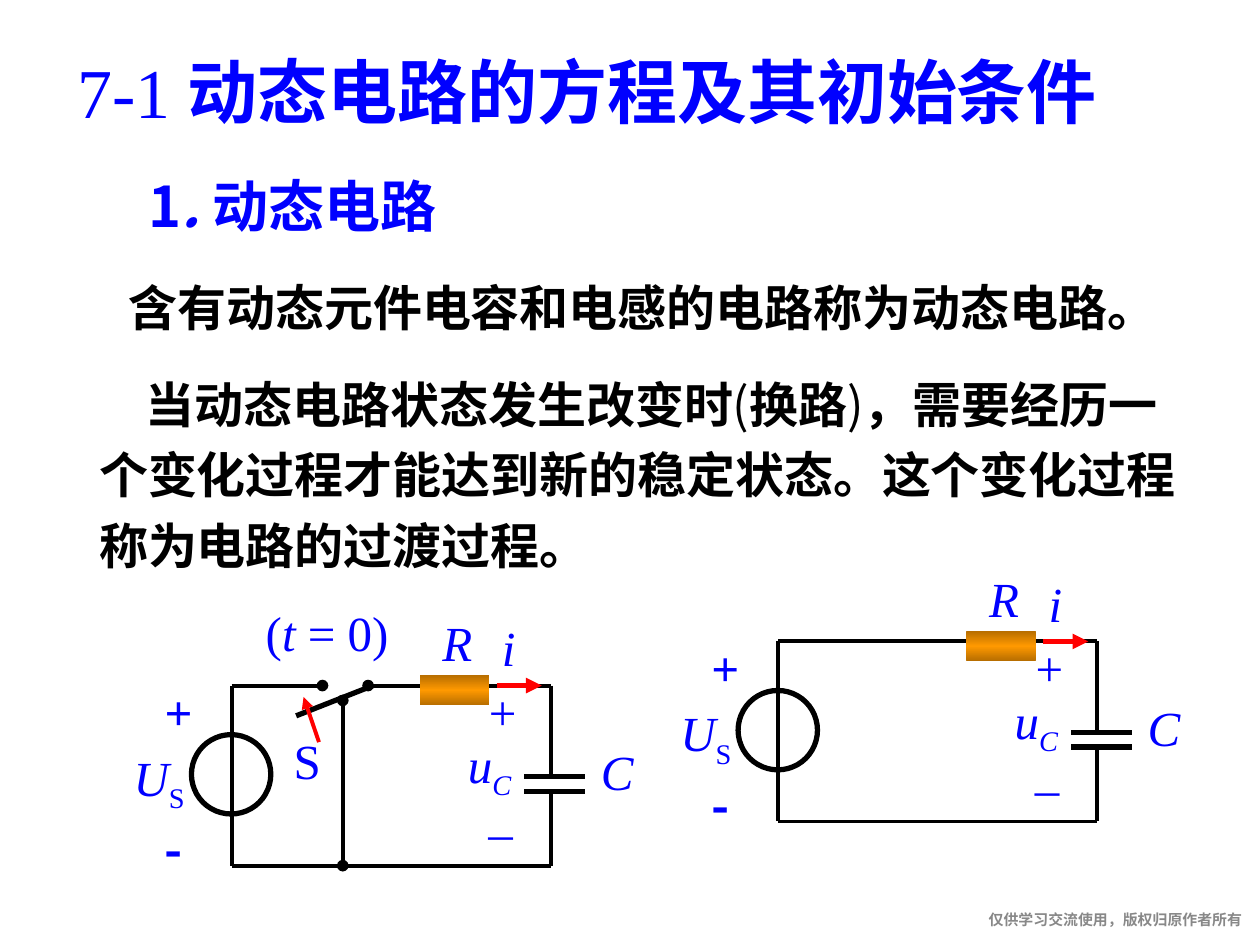
import copy
from dataclasses import dataclass

import pptx
import pptx.dml.color
import pptx.enum.shapes
import pptx.enum.text
import pptx.oxml
import pptx.oxml.ns
import pptx.util
from pptx.util import Cm

SERIF, SANS = "Times New Roman", "Noto Sans CJK SC"
BLUE, BLACK, RED, GREY = "0000FF", "000000", "FF0000", "888888"
ALIGN = pptx.enum.text.PP_ALIGN
ANCHOR = pptx.enum.text.MSO_ANCHOR
SHAPE = pptx.enum.shapes.MSO_SHAPE
qn = pptx.oxml.ns.qn


@dataclass
class Run:
    text: str
    size: float = 28
    font: str = SERIF
    color: str = BLUE
    bold: bool = False
    italic: bool = False
    sub: bool = False


@dataclass
class Label:
    x: float
    y: float
    w: float
    runs: list[Run]
    h: float = 1.45
    align: ALIGN = ALIGN.CENTER
    anchor: ANCHOR = ANCHOR.MIDDLE
    wrap: bool = False


@dataclass
class Wire:
    x1: float
    y1: float
    x2: float
    y2: float
    width: float = 2.25
    color: str = BLACK
    head: str = ""
    tail: str = ""


def rgb(value: str) -> pptx.dml.color.RGBColor:
    return pptx.dml.color.RGBColor.from_string(value)


def sub_element(parent, tag: str, **attrs: str):
    el = pptx.oxml.parse_xml(f"<{tag} {pptx.oxml.ns.nsdecls('a')}/>")
    for name, value in attrs.items():
        el.set(name, value)
    parent.append(el)


def add_runs(p, runs: list[Run]) -> None:
    for item in runs:
        r = p.add_run()
        r.text = item.text
        r.font.size = pptx.util.Pt(item.size)
        r.font.bold, r.font.italic = item.bold, item.italic
        r.font.color.rgb = rgb(item.color)
        r.font.name = item.font
        props = r._r.get_or_add_rPr()
        sub_element(props, "a:ea", typeface=SANS)
        if item.sub:
            props.set("baseline", "-25000")


def add_label(shapes, lb: Label, dx: float = 0, dy: float = 0):
    tf = shapes.add_textbox(Cm(lb.x + dx), Cm(lb.y + dy), Cm(lb.w), Cm(lb.h)).text_frame
    tf.word_wrap = lb.wrap
    tf.vertical_anchor = lb.anchor
    p = tf.paragraphs[0]
    p.alignment = lb.align
    add_runs(p, lb.runs)
    return tf


def add_wire(shapes, w: Wire, dx: float = 0, dy: float = 0) -> None:
    s = shapes.add_connector(pptx.enum.shapes.MSO_CONNECTOR.STRAIGHT,
                             Cm(w.x1 + dx), Cm(w.y1 + dy), Cm(w.x2 + dx), Cm(w.y2 + dy))
    s.line.width = pptx.util.Pt(w.width)
    s.line.color.rgb = rgb(w.color)
    ln = s.line._get_or_add_ln()
    for tag, end in (("a:headEnd", w.head), ("a:tailEnd", w.tail)):
        if end:
            sub_element(ln, tag, type=end)
    sub_element(s._element.spPr, "a:effectLst")


def add_source(shapes, dx: float, dy: float) -> None:
    sp = shapes.add_shape(SHAPE.OVAL, Cm(3.86 + dx), Cm(14.81 + dy), Cm(1.6), Cm(1.6))
    sp.shadow.inherit = False
    sp.fill.background()
    sp.line.color.rgb = rgb(BLACK)
    sp.line.width = pptx.util.Pt(3)


def add_resistor(shapes, dx: float, dy: float) -> None:
    sp = shapes.add_shape(SHAPE.RECTANGLE, Cm(8.46 + dx), Cm(13.61 + dy), Cm(1.4), Cm(0.61))
    sp.shadow.inherit = False
    sp.line.fill.background()
    sp.fill.gradient()
    sp.fill.gradient_angle = 90
    stops = sp._element.spPr.find(".//" + qn("a:gsLst"))
    stops.append(copy.deepcopy(stops[0]))
    for i, stop in enumerate(sp.fill.gradient_stops):
        stop.position = i / 2
        stop.color.rgb = rgb("FF9900" if i == 1 else "B66D00")


# Circuit geometry in cm, given for the left circuit
LEFT, RIGHT, TOP, BOTTOM = 4.67, 11.1, 13.82, 17.45
PLATES = (15.65, 15.95)

COMMON_WIRES = [
    *(Wire(10.57, y, 11.79, y, 3) for y in PLATES),
    Wire(LEFT, BOTTOM, RIGHT, BOTTOM),
    Wire(LEFT, TOP, LEFT, BOTTOM),
    Wire(RIGHT, TOP, RIGHT, PLATES[0]),
    Wire(RIGHT, BOTTOM, RIGHT, PLATES[1]),
    Wire(10.01, TOP, 10.92, TOP, 3, RED, tail="triangle"),
]
SWITCH_WIRES = [
    Wire(LEFT, TOP, 6.5, TOP, tail="oval"),
    Wire(RIGHT, TOP, 7.42, TOP, tail="oval"),
    Wire(7.52, TOP, 5.97, 14.43, 3),
    Wire(6.91, 14.12, 6.91, BOTTOM, head="oval", tail="oval"),
    Wire(6.43, 14.96, 6.12, 14.05, color=RED, tail="triangle"),
]
CLOSED_WIRES = [Wire(LEFT, TOP, RIGHT, TOP)]

COMMON_LABELS = [
    Label(9.6, 13.61, 1.07, [Run("+")]),
    Label(9.58, 16.03, 1.02, [Run("–")]),
    Label(9.07, 14.76, 1.6, [Run("u", italic=True), Run("C", italic=True, sub=True)], wrap=True),
    Label(2.41, 15.01, 1.6, [Run("U", italic=True), Run("S", sub=True)]),
    Label(8.66, 12.22, 1.12, [Run("R", italic=True)]),
    Label(11.86, 14.81, 1.17, [Run("C", italic=True)]),
    Label(9.86, 12.32, 0.79, [Run("i", italic=True)]),
    Label(3.07, 13.61, 1.6, [Run("+", bold=True)],
          align=ALIGN.LEFT, anchor=ANCHOR.TOP, wrap=True),
    Label(3.07, 16.4, 1.6, [Run("-", font=SANS, bold=True)],
          align=ALIGN.LEFT, anchor=ANCHOR.TOP, wrap=True),
]
SWITCH_LABELS = [
    Label(5.66, 14.6, 1.07, [Run("S")]),
    Label(4.97, 12.01, 3.25, [Run("("), Run("t ", italic=True), Run("= 0)")]),
]


def add_circuit(s, wires: list[Wire], labels: list[Label], dx: float = 0, dy: float = 0) -> None:
    shapes = s.shapes.add_group_shape().shapes
    add_source(shapes, dx, dy)
    for wire in wires + COMMON_WIRES:
        add_wire(shapes, wire, dx, dy)
    add_resistor(shapes, dx, dy)
    for label in labels + COMMON_LABELS:
        add_label(shapes, label, dx, dy)


def main() -> None:
    prs = pptx.Presentation()
    prs.slide_width, prs.slide_height = Cm(25.4), Cm(19.05)
    s = prs.slides.add_slide(prs.slide_layouts[5])

    # Title
    title = s.shapes.title
    title.left, title.top, title.width, title.height = Cm(1.3), Cm(1.32), Cm(23.39), Cm(1.47)
    tf = title.text_frame
    tf.auto_size = pptx.enum.text.MSO_AUTO_SIZE.NONE
    tf.vertical_anchor = ANCHOR.BOTTOM
    tf.paragraphs[0].alignment = ALIGN.LEFT
    add_runs(tf.paragraphs[0], [Run("7-1 ", 40),
                                Run("动态电路的方程及其初始条件", 40, SANS, bold=True)])

    # Heading and definitions
    add_label(s.shapes, Label(2.11, 3.33, 7.59, [
        Run("1", 32, SANS, bold=True), Run(". ", 32, SANS, bold=True, italic=True),
        Run("动态电路", 32, SANS, bold=True)], h=1.63, wrap=True))
    add_label(s.shapes, Label(2.34, 5.46, 21.34, [
        Run("含有动态元件电容和电感的电路称为动态电路。", color=BLACK, bold=True)],
        align=ALIGN.LEFT))
    parts = ["当动态电路状态发生改变时", "(", "换路", ")",
             "，需要经历一个变化过程才能达到新的稳定状态。这个变化过程称为电路的过渡过程。"]
    tf = add_label(s.shapes, Label(1.75, 7.16, 22.33, [
        Run(part, font=SANS, color=BLACK, bold=part not in "()") for part in parts],
        h=4.57, align=ALIGN.LEFT, wrap=True))
    p = tf.paragraphs[0]
    p.line_spacing = 1.2
    p._p.get_or_add_pPr().set("indent", str(Cm(0.94)))

    # Circuits before and after switching
    add_circuit(s, SWITCH_WIRES, SWITCH_LABELS)
    add_circuit(s, CLOSED_WIRES, [], dx=11.02, dy=-0.89)

    # Footer
    tf = add_label(s.shapes, Label(15.39, 18.36, 9.65, [
        Run("仅供学习交流使用，版权归原作者所有", 8.5, "Arial", GREY, bold=True)],
        h=0.56, align=ALIGN.RIGHT, anchor=ANCHOR.TOP, wrap=True))
    tf.margin_left = tf.margin_right = tf.margin_top = tf.margin_bottom = 0

    prs.save("out.pptx")


if __name__ == "__main__":
    main()
